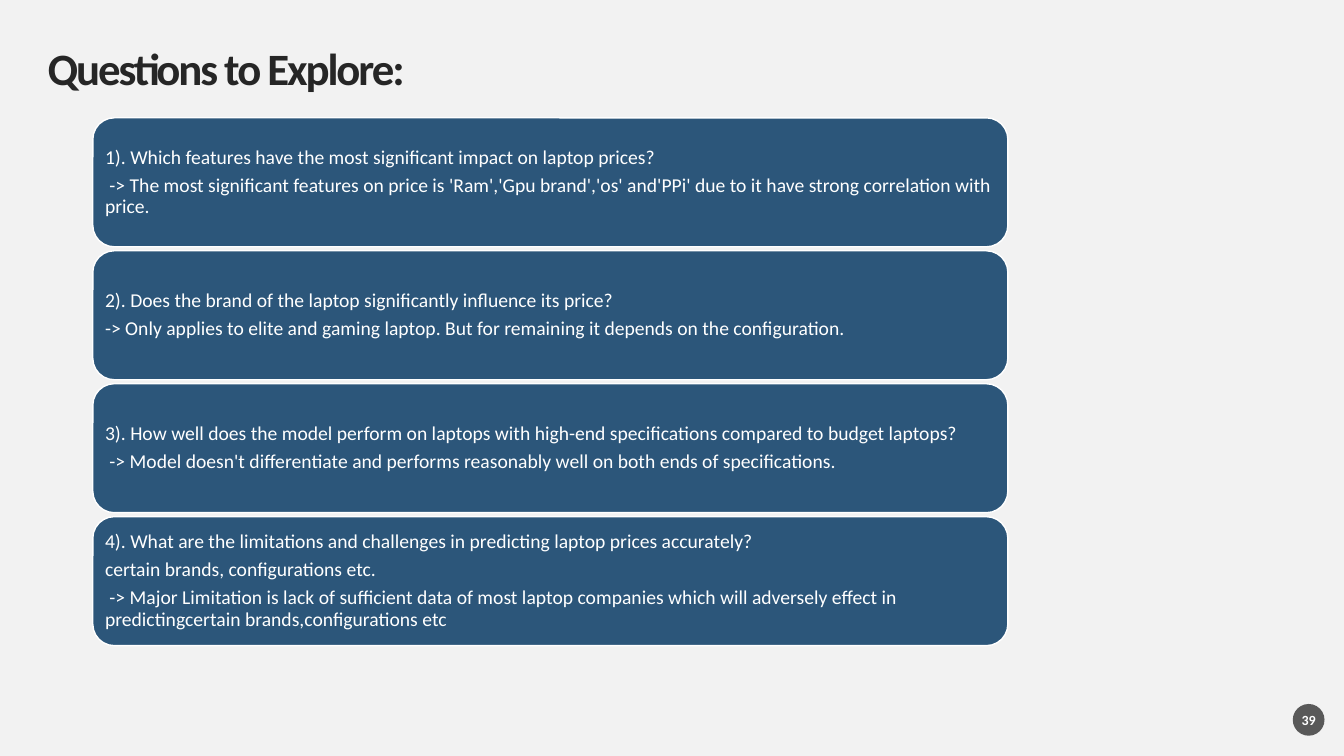
from dataclasses import dataclass

from pptx import Presentation
from pptx.dml.color import RGBColor
from pptx.enum.shapes import MSO_SHAPE as Shape
from pptx.enum.text import MSO_ANCHOR as Anchor, PP_ALIGN as Align
from pptx.util import Cm, Pt


@dataclass(frozen=True)
class Theme:
    font: str = "Calibri"
    background: str = "F2F2F2"
    ink: str = "262626"
    card: str = "2C567A"
    badge: str = "595959"
    white: str = "FFFFFF"
    title_size: int = 32
    body_size: int = 14
    number_size: int = 10


theme = Theme()


def prepare_frame(shape, inset):
    frame = shape.text_frame
    frame.word_wrap = True
    frame.vertical_anchor = Anchor.MIDDLE
    frame.margin_left = frame.margin_right = Cm(inset)
    frame.margin_top = frame.margin_bottom = Cm(inset)
    return frame


def add_span(para, text, size, color, bold=False):
    span = para.add_run()
    span.text = text
    span.font.name = theme.font
    span.font.size = Pt(size)
    span.font.bold = bold
    span.font.color.rgb = RGBColor.from_string(color)
    return span


deck = Presentation()
deck.slide_width, deck.slide_height = Cm(33.87), Cm(19.05)
page = deck.slides.add_slide(deck.slide_layouts[6])
page.background.fill.solid()
page.background.fill.fore_color.rgb = RGBColor.from_string(theme.background)

# Title
title = page.shapes.add_textbox(Cm(1.2), Cm(1.2), Cm(31.47), Cm(1.2))
para = prepare_frame(title, 0).paragraphs[0]
para.line_spacing = 0.9
span = add_span(para, "Questions to Explore:", theme.title_size, theme.ink, bold=True)
span.font._element.set("spc", "-150")  # tighter letter spacing

# Page number badge
badge = page.shapes.add_shape(Shape.OVAL, Cm(32.58), Cm(17.74), Cm(0.8), Cm(0.8))
badge.shadow.inherit = False
badge.fill.solid()
badge.fill.fore_color.rgb = RGBColor.from_string(theme.badge)
badge.line.fill.background()
para = prepare_frame(badge, 0).paragraphs[0]
para.alignment = Align.CENTER
add_span(para, "39", theme.number_size, theme.white, bold=True)

# Question cards, stacked at an equal pitch
questions = [
    [
        "1). Which features have the most significant impact on laptop prices?",
        " -> The most significant features on price is 'Ram','Gpu brand','os' and'PPi' "
        "due to it have strong correlation with price.",
    ],
    [
        "2). Does the brand of the laptop significantly influence its price?",
        "-> Only applies to elite and gaming laptop. "
        "But for remaining it depends on the configuration.",
    ],
    [
        "3). How well does the model perform on laptops with high-end specifications "
        "compared to budget laptops?",
        " -> Model doesn't differentiate and performs reasonably well on both ends "
        "of specifications.",
    ],
    [
        "4). What are the limitations and challenges in predicting laptop prices accurately?",
        "certain brands, configurations etc.",
        " -> Major Limitation is lack of sufficient data of most laptop companies which "
        "will adversely effect in predictingcertain brands,configurations etc",
    ],
]
card_top, card_height, card_pitch = 2.97, 3.25, 3.35

for row, lines in enumerate(questions):
    card = page.shapes.add_shape(
        Shape.ROUNDED_RECTANGLE,
        Cm(2.34), Cm(card_top + row * card_pitch), Cm(23.06), Cm(card_height),
    )
    card.shadow.inherit = False
    card.fill.solid()
    card.fill.fore_color.rgb = RGBColor.from_string(theme.card)
    card.line.color.rgb = RGBColor.from_string(theme.white)
    card.line.width = Pt(1)
    frame = prepare_frame(card, 0.15)
    for index, line in enumerate(lines):
        para = frame.paragraphs[0] if index == 0 else frame.add_paragraph()
        para.alignment = Align.LEFT
        para.line_spacing = 0.9
        para.space_after = Pt(0.35 * theme.body_size)
        add_span(para, line, theme.body_size, theme.white)

deck.save("out.pptx")
